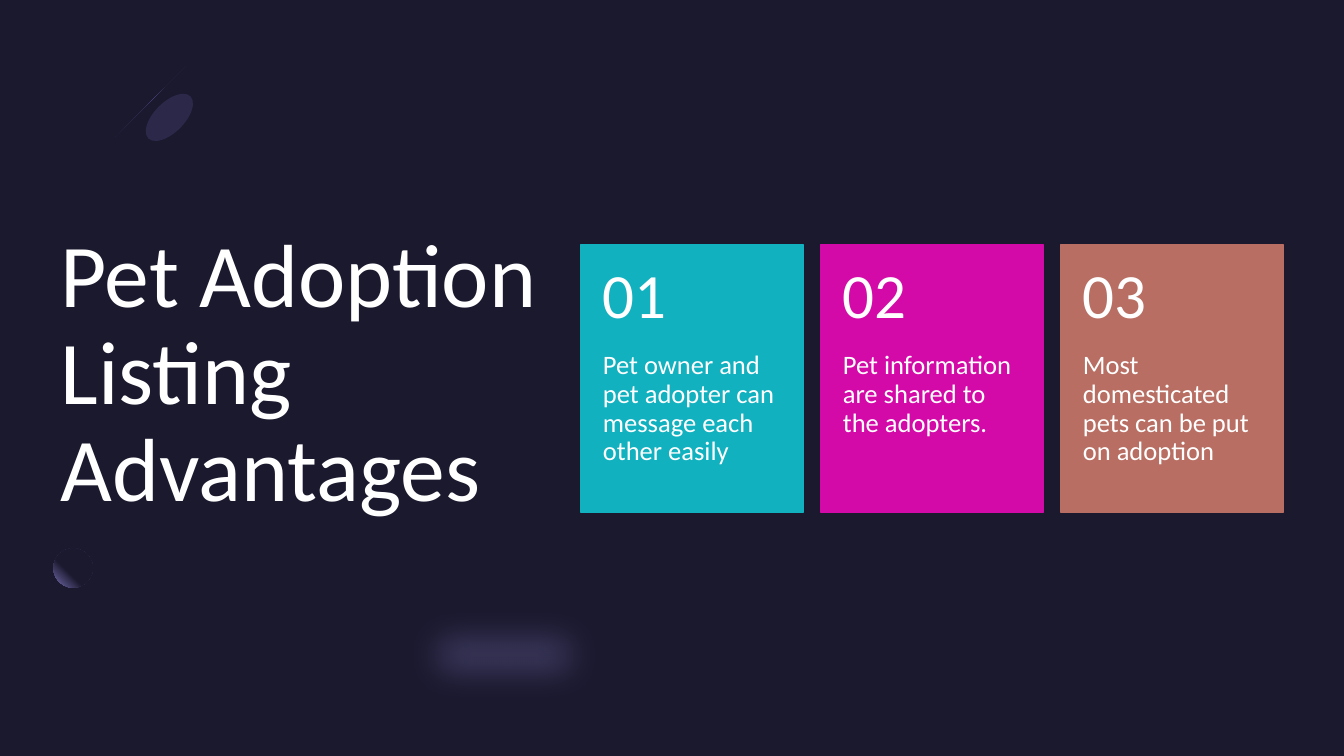
from math import cos, radians, sin

from lxml.etree import SubElement
from pptx import Presentation
from pptx.dml.color import RGBColor
from pptx.enum.shapes import MSO_SHAPE as Preset
from pptx.enum.text import MSO_ANCHOR as Anchor
from pptx.oxml.ns import qn
from pptx.util import Inches, Pt

TITLE = "Pet Adoption Listing Advantages"
CARDS = [
    ("01", "Pet owner and pet adopter can message each other easily", "12B1BF"),
    ("02", "Pet information are shared to the adopters.", "D40AA8"),
    ("03", "Most domesticated pets can be put on adoption", "B86E62"),
]
THEME = {
    "font": "Calibri", "text": "FFFFFF", "background": "1B192E",
    "shade": "2C284A", "glow": "454075", "light": "7771B2",
    "title": 64, "number": 45, "body": 19,
}
CARD_LEFT, CARD_TOP, CARD_WIDTH, CARD_STEP = 5.76, 2.43, 2.21, 2.38
NUMBER_HEIGHT, BODY_HEIGHT = 1.06, 1.59

# Outlines: a start point, then segments of one point (line) or three (curve)
CONE = [
    (1.29, 0.78), [(1.85, 0.94)],
    [(1.87, 0.95), (1.88, 0.95), (1.88, 0.96)],
    [(1.94, 1.02), (1.89, 1.16), (1.78, 1.27)],
    [(1.66, 1.39), (1.52, 1.43), (1.47, 1.38)],
    [(1.46, 1.37), (1.45, 1.36), (1.45, 1.35)],
]
CONE_CENTER, CONE_ROTATION = (1.54, 1.03), 315
RING = [
    (4.8, 6.21),
    [(5.11, 6.19), (5.43, 6.32), (5.68, 6.57)], [(5.33, 6.93)],
    [(5.1, 6.7), (4.76, 6.68), (4.56, 6.88)],
    [(4.42, 7.03), (4.39, 7.26), (4.48, 7.46)], [(4.5, 7.5)], [(3.94, 7.5)],
    [(3.92, 7.43)],
    [(3.84, 7.08), (3.91, 6.72), (4.16, 6.48)],
    [(4.33, 6.3), (4.56, 6.21), (4.8, 6.21)],
]


def flatten(outline, steps=12):
    """Turn lines and cubic curves into a list of points."""
    points = [outline[0]]
    for segment in outline[1:]:
        if len(segment) == 1:
            points.append(segment[0])
            continue
        controls = [points[-1], *segment]
        for step in range(1, steps + 1):
            t = step / steps
            weights = ((1 - t) ** 3, 3 * t * (1 - t) ** 2, 3 * t * t * (1 - t), t ** 3)
            points.append(tuple(sum(w * c[axis] for w, c in zip(weights, controls))
                                for axis in (0, 1)))
    return points


def rotate(points, center, degrees):
    cosine, sine = cos(radians(degrees)), sin(radians(degrees))
    return [(center[0] + (x - center[0]) * cosine - (y - center[1]) * sine,
             center[1] + (x - center[0]) * sine + (y - center[1]) * cosine)
            for x, y in points]


def paint(shape, color, line=None):
    shape.shadow.inherit = False
    shape.fill.solid()
    shape.fill.fore_color.rgb = RGBColor.from_string(color)
    if line:
        shape.line.color.rgb = RGBColor.from_string(line)
        shape.line.width = Pt(1)
    else:
        shape.line.fill.background()


def paint_gradient(shape, stops, angle=None):
    """Linear at the given clockwise angle, else radial from the top right."""
    paint(shape, THEME["background"])
    solid = shape._element.spPr.find(qn("a:solidFill"))
    gradient = solid.makeelement(qn("a:gradFill"), {"rotWithShape": "1"})
    solid.getparent().replace(solid, gradient)
    stop_list = SubElement(gradient, qn("a:gsLst"))
    for position, color in stops:
        stop = SubElement(stop_list, qn("a:gs"), pos=str(position * 1000))
        SubElement(stop, qn("a:srgbClr"), val=THEME[color])
    if angle is not None:
        SubElement(gradient, qn("a:lin"), ang=str(angle * 60000), scaled="0")
    else:
        radial = SubElement(gradient, qn("a:path"), path="circle")
        SubElement(radial, qn("a:fillToRect"), l="100000", b="100000")


def soften(shape, alpha, radius):
    properties = shape._element.spPr
    color = properties.find(qn("a:solidFill"))[0]
    SubElement(color, qn("a:alpha"), val=str(alpha * 1000))
    effects = properties.find(qn("a:effectLst"))
    SubElement(effects, qn("a:softEdge"), rad=str(Pt(radius)))


def add_outline(shapes, points):
    builder = shapes.build_freeform(*points[0], scale=Inches(1))
    builder.add_line_segments(points[1:], close=True)
    return builder.convert_to_shape()


def add_preset(shapes, preset, box):
    return shapes.add_shape(preset, *map(Inches, box))


def add_text(shapes, text, box, size, insets=(0, 0, 0, 0), anchor=Anchor.MIDDLE):
    frame = shapes.add_textbox(*map(Inches, box)).text_frame
    frame.word_wrap = True
    frame.vertical_anchor = anchor
    (frame.margin_left, frame.margin_top,
     frame.margin_right, frame.margin_bottom) = map(Inches, insets)
    paragraph = frame.paragraphs[0]
    paragraph.line_spacing = 0.9
    run = paragraph.add_run()
    run.text = text
    run.font.name = THEME["font"]
    run.font.size = Pt(THEME[size])
    run.font.color.rgb = RGBColor.from_string(THEME["text"])


def add_decorations(shapes):
    cone = add_outline(shapes, rotate(flatten(CONE), CONE_CENTER, -CONE_ROTATION))
    cone.rotation = CONE_ROTATION
    paint_gradient(cone, [(30, "shade"), (45, "glow"), (60, "shade"),
                          (100, "background")], angle=170)
    cone_base = add_preset(shapes, Preset.OVAL, (1.53, 0.87, 0.3, 0.59))
    cone_base.rotation = 45
    paint(cone_base, THEME["shade"])

    ball = add_preset(shapes, Preset.OVAL, (0.53, 5.44, 0.39, 0.39))
    paint_gradient(ball, [(60, "background"), (100, "light")])

    ring = add_outline(shapes, flatten(RING))
    paint(ring, THEME["light"])
    soften(ring, alpha=40, radius=25)


def add_card(shapes, left, number, body, color):
    card = add_preset(shapes, Preset.RECTANGLE,
                      (left, CARD_TOP, CARD_WIDTH, NUMBER_HEIGHT + BODY_HEIGHT))
    paint(card, color, line=color)
    add_text(shapes, body, (left, CARD_TOP + NUMBER_HEIGHT, CARD_WIDTH, BODY_HEIGHT),
             "body", (0.22, 0, 0.22, 0.36), Anchor.TOP)
    add_text(shapes, number, (left, CARD_TOP, CARD_WIDTH, NUMBER_HEIGHT),
             "number", (0.22, 0.18, 0.22, 0.18))


def main():
    presentation = Presentation()
    presentation.slide_width, presentation.slide_height = Inches(13.33), Inches(7.5)
    slide = presentation.slides.add_slide(presentation.slide_layouts[6])
    slide.background.fill.solid()
    slide.background.fill.fore_color.rgb = RGBColor.from_string(THEME["background"])

    add_text(slide.shapes, TITLE, (0.6, 1.66, 4.96, 4.13), "title")
    add_decorations(slide.shapes)
    for index, card in enumerate(CARDS):
        add_card(slide.shapes, CARD_LEFT + index * CARD_STEP, *card)
    presentation.save("out.pptx")


if __name__ == "__main__":
    main()
